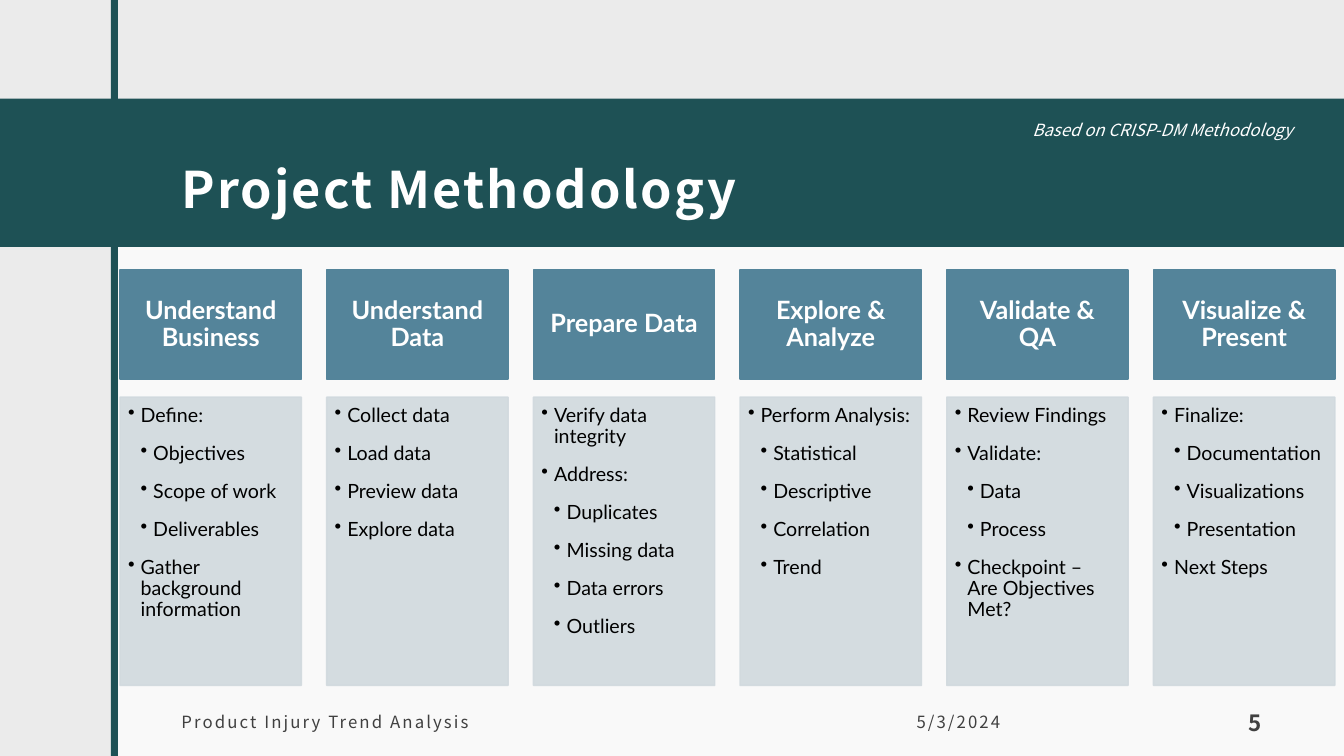
from lxml.etree import SubElement
from pptx import Presentation
from pptx.dml.color import RGBColor
from pptx.enum.shapes import MSO_SHAPE
from pptx.enum.text import MSO_ANCHOR, PP_ALIGN
from pptx.oxml.ns import qn
from pptx.util import Inches, Pt

COLORS = {
    "background": "EBEBEB",
    "teal": "1E5155",
    "white": "FFFFFF",
    "footer": "404040",
    "phase": "54849A",
    "steps": "D1D9DE",
    "black": "000000",
}
THEME_FONT = "Noto Sans CJK JP"
PHASE_FONT = "Lato"
FOOTER_INSETS = (0.12, 0.12, 0.12, 0.1)

PHASES = [
    ("Understand Business", [
        (1, "Define:"), (2, "Objectives"), (2, "Scope of work"),
        (2, "Deliverables"), (1, "Gather background information")]),
    ("Understand Data", [
        (1, "Collect data"), (1, "Load data"), (1, "Preview data"),
        (1, "Explore data")]),
    ("Prepare Data", [
        (1, "Verify data integrity"), (1, "Address:"), (2, "Duplicates"),
        (2, "Missing data"), (2, "Data errors"), (2, "Outliers")]),
    ("Explore & Analyze", [
        (1, "Perform Analysis:"), (2, "Statistical"), (2, "Descriptive"),
        (2, "Correlation"), (2, "Trend")]),
    ("Validate & QA", [
        (1, "Review Findings"), (1, "Validate:"), (2, "Data"),
        (2, "Process"), (1, "Checkpoint – Are Objectives Met?")]),
    ("Visualize & Present", [
        (1, "Finalize:"), (2, "Documentation"), (2, "Visualizations"),
        (2, "Presentation"), (1, "Next Steps")]),
]


def rgb(color):
    return RGBColor.from_string(COLORS[color])


def set_opacity(fill_format, percent):
    color = fill_format._xPr.find(qn("a:solidFill"))[0]
    SubElement(color, qn("a:alpha"), val=str(percent * 1000))


def add_block(slide, box, color, opacity=100, outlined=False):
    block = slide.shapes.add_shape(MSO_SHAPE.RECTANGLE, *map(Inches, box))
    block.shadow.inherit = False
    block.fill.solid()
    block.fill.fore_color.rgb = rgb(color)
    if outlined:
        block.line.color.rgb = rgb(color)
        block.line.width = Pt(1)
    else:
        block.line.fill.background()
    if opacity < 100:
        set_opacity(block.fill, opacity)
        if outlined:
            set_opacity(block.line.fill, opacity)
    return block


def set_frame(frame, insets, anchor):
    frame.word_wrap = True
    frame.vertical_anchor = anchor
    (frame.margin_left, frame.margin_top,
     frame.margin_right, frame.margin_bottom) = map(Inches, insets)


def style_runs(paragraph, font, size, color, bold=False, italic=False, tracking=0):
    for run in paragraph.runs:
        run.font.name = font
        run.font.size = Pt(size)
        run.font.bold = bold
        run.font.italic = italic
        run.font.color.rgb = rgb(color)
        if tracking:
            run.font._element.set("spc", str(int(tracking * 100)))


def add_label(slide, box, text, size, color, insets=FOOTER_INSETS,
              anchor=MSO_ANCHOR.MIDDLE, **style):
    frame = slide.shapes.add_textbox(*map(Inches, box)).text_frame
    set_frame(frame, insets, anchor)
    frame.text = text
    style_runs(frame.paragraphs[0], THEME_FONT, size, color, **style)
    return frame.paragraphs[0]


def add_backdrop(slide, width, height):
    slide.background.fill.solid()
    slide.background.fill.fore_color.rgb = rgb("background")
    add_block(slide, (1.14, 2.33, width - 1.14, height - 2.33), "white", opacity=75)
    add_block(slide, (0, 0.98, width, 1.47), "teal")
    add_block(slide, (1.1, 0, 0.07, height), "teal")


def add_heading(slide, left, top):
    title = add_label(slide, (left, top, 10.95, 1.13), "Project Methodology",
                      36, "white", bold=True, tracking=1.5)
    title.line_spacing = 1.5
    add_label(slide, (left + 8.46, top, 3, 0.3), "Based on CRISP-DM Methodology",
              12, "white", insets=(0.1, 0.05, 0.1, 0.05),
              anchor=MSO_ANCHOR.TOP, italic=True)


def add_footer(slide, left, top):
    add_label(slide, (left, top, 6.27, 0.5), "Product Injury Trend Analysis",
              12, "footer", tracking=1.5)
    add_label(slide, (left + 7.29, top, 2.35, 0.5), "5/3/2024",
              12, "footer", tracking=1.5)
    number = add_label(slide, (left + 9.88, top, 1.07, 0.5), "5", 16, "footer",
                       anchor=MSO_ANCHOR.BOTTOM, bold=True, tracking=1.5)
    number.alignment = PP_ALIGN.RIGHT


def add_step(paragraph, level, text):
    paragraph.text = text
    paragraph.level = level
    paragraph.alignment = PP_ALIGN.LEFT
    paragraph.line_spacing = 0.9
    paragraph.space_after = Pt(12)
    properties = paragraph._p.get_or_add_pPr()
    properties.set("marL", str(Inches(0.125 * level)))
    properties.set("indent", str(Inches(-0.125)))
    SubElement(properties, qn("a:buChar"), char="•")
    style_runs(paragraph, PHASE_FONT, 14, "black")


def add_phase(slide, left, top, width, name, steps):
    header = add_block(slide, (left, top, width, 1.08), "phase", outlined=True)
    set_frame(header.text_frame, (0.14, 0.08, 0.14, 0.08), MSO_ANCHOR.MIDDLE)
    header.text_frame.text = name
    heading = header.text_frame.paragraphs[0]
    heading.alignment = PP_ALIGN.CENTER
    heading.line_spacing = 0.9
    style_runs(heading, PHASE_FONT, 18, "white", bold=True)

    body = add_block(slide, (left, top + 1.26, width, 2.86), "steps",
                     opacity=90, outlined=True)
    frame = body.text_frame
    set_frame(frame, (0.08, 0.08, 0.11, 0.12), MSO_ANCHOR.TOP)
    for index, (level, text) in enumerate(steps):
        paragraph = frame.add_paragraph() if index else frame.paragraphs[0]
        add_step(paragraph, level, text)


def add_phases(slide, left, top, width, pitch):
    for column, (name, steps) in enumerate(PHASES):
        add_phase(slide, left + column * pitch, top, width, name, steps)


def main():
    presentation = Presentation()
    presentation.slide_width = Inches(13.33)
    presentation.slide_height = Inches(7.5)
    slide = presentation.slides.add_slide(presentation.slide_layouts[6])
    add_backdrop(slide, 13.33, 7.5)
    add_heading(slide, 1.68, 1.14)
    add_footer(slide, 1.68, 6.9)
    add_phases(slide, 1.19, 2.68, 1.8, 2.05)
    presentation.save("out.pptx")


if __name__ == "__main__":
    main()
